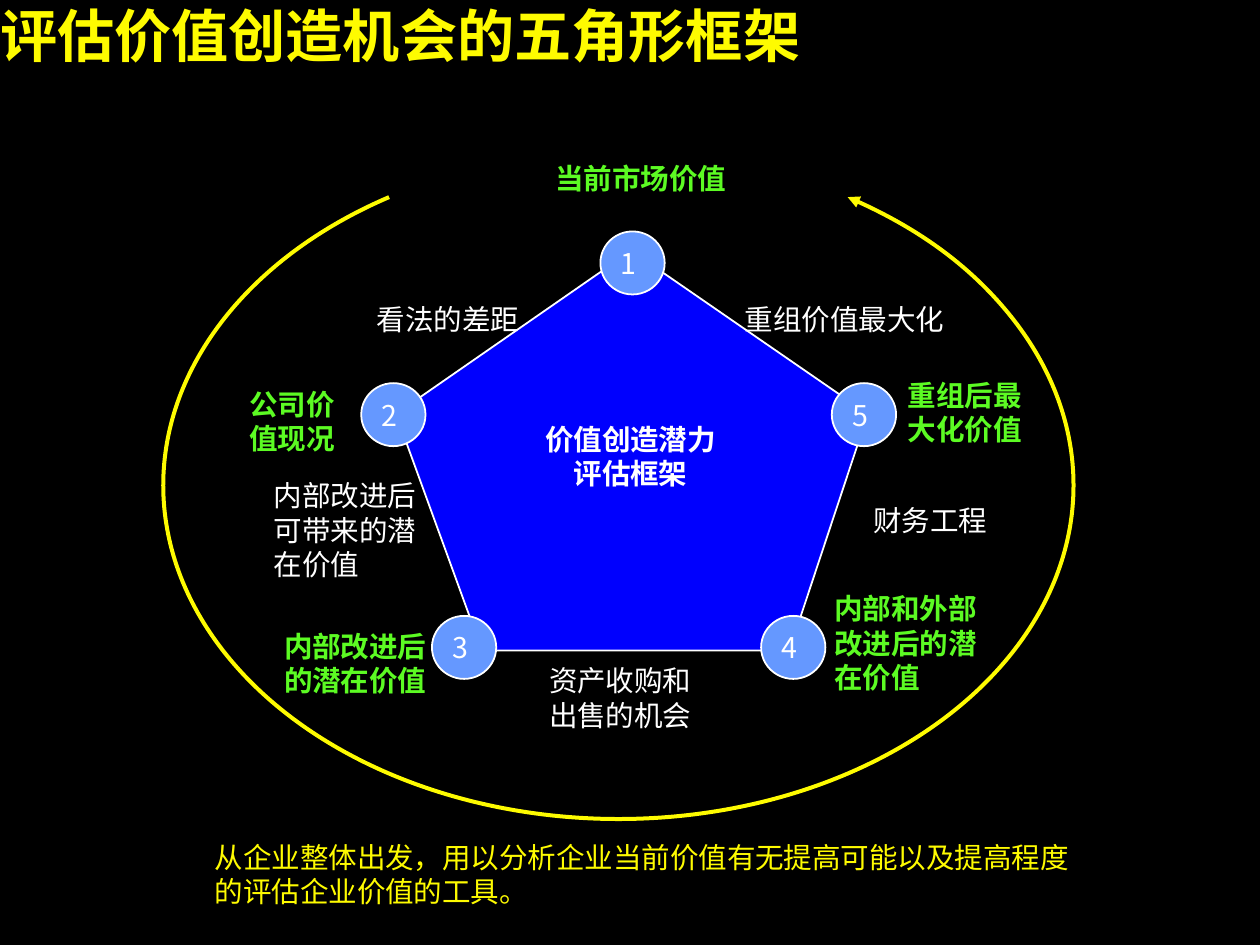
from lxml.etree import SubElement
from pptx import Presentation
from pptx.dml.color import RGBColor
from pptx.enum.shapes import MSO_SHAPE as Shape
from pptx.enum.text import MSO_ANCHOR as Anchor, PP_ALIGN as Align
from pptx.oxml.ns import qn
from pptx.util import Inches, Pt

FONT = "Noto Sans CJK SC"
BLACK, WHITE, YELLOW = "000000", "FFFFFF", "FEFB00"
BLUE, LIGHT_BLUE, GREEN = "0000FE", "6598FF", "5CFB23"

PENTAGON = [(4.91, 1.95), (3.08, 3.22), (3.75, 5.06), (6.14, 5.06), (6.75, 3.22)]
# Left and top of the numbered circles, counter-clockwise from the top
CIRCLES = [(4.67, 1.8), (2.81, 2.98), (3.36, 4.79), (5.92, 4.79), (6.47, 2.98)]
# Left, top, width, text, alignment
VALUES = [
    (4.25, 1.25, 1.47, "当前市场价值", Align.CENTER),
    (1.86, 3.01, 0.82, "公司价值现况", Align.CENTER),
    (2.21, 4.89, 1.13, "内部改进后的潜在价值", Align.LEFT),
    (6.49, 4.6, 1.13, "内部和外部改进后的潜在价值", Align.LEFT),
    (6.99, 2.94, 1.03, "重组后最大化价值", Align.CENTER),
]
GAPS = [
    (2.75, 2.35, 1.47, "看法的差距", Align.CENTER),
    (2.13, 3.72, 1.13, "内部改进后可带来的潜在价值", Align.LEFT),
    (4.26, 5.16, 1.13, "资产收购和出售的机会", Align.CENTER),
    (6.67, 3.91, 1.13, "财务工程", Align.CENTER),
    (5.78, 2.35, 1.58, "重组价值最大化", Align.CENTER),
]


def color(value):
    return RGBColor.from_string(value)


class Page:
    """Holds the slide and the style of everything drawn on it."""

    def __init__(self, slide, background):
        self.slide = slide
        slide.background.fill.solid()
        slide.background.fill.fore_color.rgb = color(background)

    def paint(self, shape, fill, line, width=1):
        shape.shadow.inherit = False
        if fill:
            shape.fill.solid()
            shape.fill.fore_color.rgb = color(fill)
        else:
            shape.fill.background()
        shape.line.color.rgb = color(line)
        shape.line.width = Pt(width)

    def set_text(self, frame, text, ink, size=16, bold=False, align=Align.LEFT):
        frame.margin_left = frame.margin_right = 0
        frame.margin_top = frame.margin_bottom = 0
        frame.word_wrap = True
        frame.text = text
        for paragraph in frame.paragraphs:
            paragraph.alignment = align
            paragraph.line_spacing = Pt(size * 1.2)
            for span in paragraph.runs:
                span.font.name = FONT
                span.font.size = Pt(size)
                span.font.bold = bold
                span.font.color.rgb = color(ink)
                SubElement(span._r.get_or_add_rPr(), qn("a:ea"), typeface=FONT)

    def label(self, left, top, width, height, text, ink, **style):
        box = self.slide.shapes.add_textbox(
            Inches(left), Inches(top), Inches(width), Inches(height))
        self.set_text(box.text_frame, text, ink, **style)
        return box

    def polygon(self, points, fill, line):
        corners = [(Inches(x), Inches(y)) for x, y in points]
        builder = self.slide.shapes.build_freeform(*corners[0])
        builder.add_line_segments(corners[1:], close=True)
        self.paint(builder.convert_to_shape(), fill, line)

    def numbered_circle(self, left, top, number):
        circle = self.slide.shapes.add_shape(
            Shape.OVAL, Inches(left), Inches(top), Inches(0.5), Inches(0.49))
        self.paint(circle, LIGHT_BLUE, WHITE)
        frame = circle.text_frame
        self.set_text(frame, str(number), WHITE, align=Align.CENTER)
        frame.vertical_anchor = Anchor.MIDDLE
        frame.margin_right = Inches(0.06)

    def arc_arrow(self, left, top, width, height, start, end, line):
        """Draw a clockwise arc between two angles in degrees, arrowhead at the start."""
        arc = self.slide.shapes.add_shape(
            Shape.ARC, Inches(left), Inches(top), Inches(width), Inches(height))
        # Angles are stored in 1/60000 degree, adjustments in 1/100000
        arc.adjustments[0] = start * 0.6
        arc.adjustments[1] = end * 0.6
        self.paint(arc, None, line, 2.25)
        outline = arc.element.spPr.find(qn("a:ln"))
        SubElement(outline, qn("a:headEnd"), type="triangle")


def main():
    deck = Presentation()
    deck.slide_width, deck.slide_height = Inches(9.8), Inches(7.35)
    page = Page(deck.slides.add_slide(deck.slide_layouts[6]), BLACK)

    page.polygon(PENTAGON, BLUE, WHITE)
    page.label(4.17, 3.28, 1.47, 0.53, "价值创造潜力评估框架", WHITE,
               bold=True, align=Align.CENTER)
    for number, (left, top) in enumerate(CIRCLES, 1):
        page.numbered_circle(left, top, number)
    page.arc_arrow(1.27, 1.18, 7.08, 5.19, 308.5, 231.5, YELLOW)

    page.label(0, 0, 9.51, 0.53, "评估价值创造机会的五角形框架", YELLOW,
               size=32, bold=True)
    for labels, ink, bold in ((VALUES, GREEN, True), (GAPS, WHITE, False)):
        for left, top, width, text, align in labels:
            page.label(left, top, width, 0.27, text, ink, bold=bold, align=align)
    summary = page.label(
        1.67, 6.53, 6.65, 0.53,
        "从企业整体出发，用以分析企业当前价值有无提高可能以及提高程度\n"
        "的评估企业价值的工具。", YELLOW)
    summary.text_frame.word_wrap = False

    deck.save("out.pptx")


if __name__ == "__main__":
    main()
